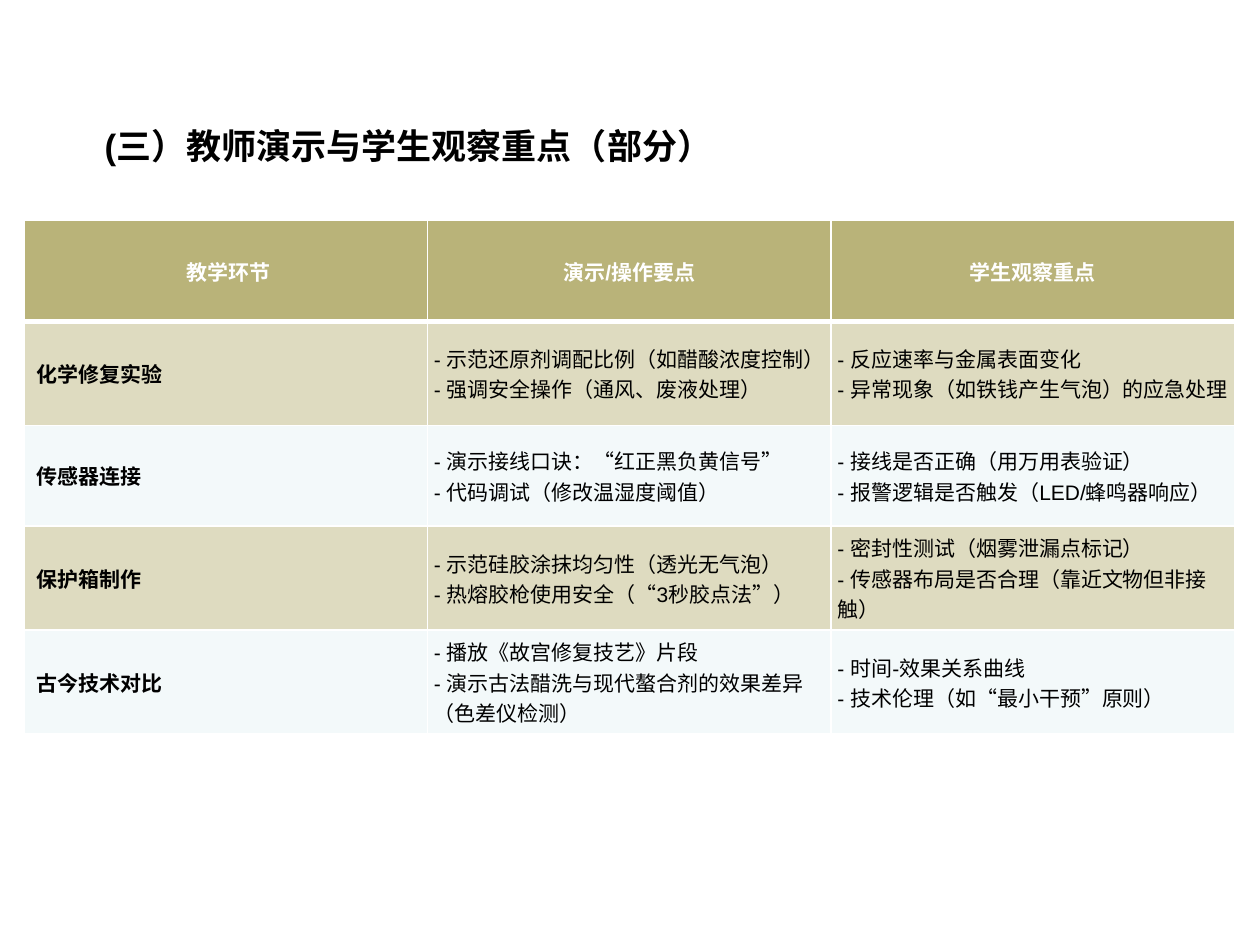
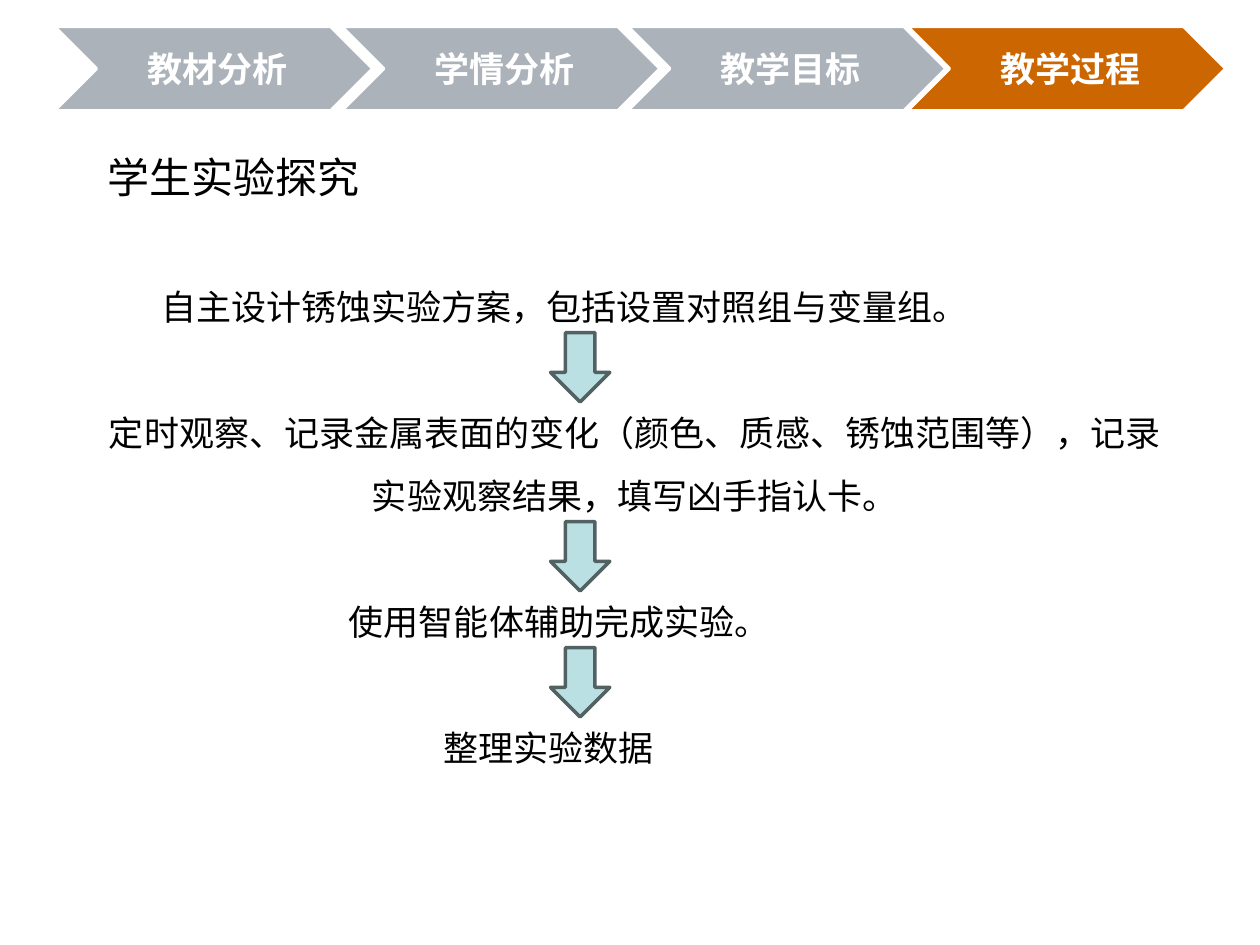
import pptx
import pptx.util
import pptx.dml.color
import pptx.enum.shapes
import pptx.enum.text
from pptx.oxml.ns import qn
from lxml import etree

Inches, Pt = pptx.util.Inches, pptx.util.Pt
ALIGN = pptx.enum.text.PP_ALIGN
ANCHOR = pptx.enum.text.MSO_ANCHOR
SHAPE = pptx.enum.shapes.MSO_SHAPE

COLORS = {
    "ink": "000000", "paper": "FFFFFF", "header": "B9B379",
    "odd_row": "DEDBC0", "even_row": "F3F9FA",
    "stage": "ABB2BA", "current_stage": "CC6600",
    "arrow": "BBE0E3", "arrow_edge": "526263",
}
LATIN, CHINESE = "Arial", "Noto Sans CJK SC"

DEMO_TITLE = "(三）教师演示与学生观察重点（部分）"
DEMO_HEADER = ["教学环节", "演示/操作要点", "学生观察重点"]
DEMO_ROWS = [
    ("化学修复实验",
     ["- 示范还原剂调配比例（如醋酸浓度控制）", "- 强调安全操作（通风、废液处理）"],
     ["- 反应速率与金属表面变化", "- 异常现象（如铁钱产生气泡）的应急处理"]),
    ("传感器连接",
     ["- 演示接线口诀：“红正黑负黄信号”", "- 代码调试（修改温湿度阈值）"],
     ["- 接线是否正确（用万用表验证）", "- 报警逻辑是否触发（LED/蜂鸣器响应）"]),
    ("保护箱制作",
     ["- 示范硅胶涂抹均匀性（透光无气泡）", "- 热熔胶枪使用安全（“3秒胶点法”）"],
     ["- 密封性测试（烟雾泄漏点标记）", "- 传感器布局是否合理（靠近文物但非接触）"]),
    ("古今技术对比",
     ["- 播放《故宫修复技艺》片段", "- 演示古法醋洗与现代螯合剂的效果差异（色差仪检测）"],
     ["- 时间-效果关系曲线", "- 技术伦理（如“最小干预”原则）"]),
]

STAGES = [("教材分析", 0.43), ("学情分析", 2.71), ("教学目标", 4.98), ("教学过程", 7.2)]
CURRENT_STAGE = "教学过程"
INQUIRY_TITLE = "学生实验探究"
INQUIRY_STEPS = [
    ("自主设计锈蚀实验方案，包括设置对照组与变量组。", 1, 0.43, ALIGN.LEFT),
    ("定时观察、记录金属表面的变化（颜色、质感、锈蚀范围等），记录实验观察结果，填写凶手指认卡。", 2, 0, ALIGN.CENTER),
    ("使用智能体辅助完成实验。", 1, 1.92, ALIGN.LEFT),
    ("整理实验数据", 1, 2.67, ALIGN.LEFT),
]
STEPS_TOP, STEP_LINE = 2.1, 0.5
ARROW_WIDTH, ARROW_HEIGHT, ARROW_GAP = 0.47, 0.55, 0.04


def rgb(name):
    return pptx.dml.color.RGBColor.from_string(COLORS[name])


def add_run(paragraph, words, size, color="ink", bold=False, latin=LATIN):
    run = paragraph.add_run()
    run.text = words
    run.font.size = Pt(size)
    run.font.bold = bold
    run.font.name = latin
    run.font.color.rgb = rgb(color)
    east_asian = etree.SubElement(run.font._element, qn("a:ea"))
    east_asian.set("typeface", CHINESE)


def set_margins(holder, left, top, right, bottom):
    holder.margin_left, holder.margin_top = Inches(left), Inches(top)
    holder.margin_right, holder.margin_bottom = Inches(right), Inches(bottom)


def add_titled_slide(deck, words, box, size, bold, latin, spacing):
    slide = deck.slides.add_slide(deck.slide_layouts[5])
    title = slide.shapes.title
    title.left, title.top, title.width, title.height = map(Inches, box)
    frame = title.text_frame
    frame.auto_size = pptx.enum.text.MSO_AUTO_SIZE.NONE
    frame.vertical_anchor = ANCHOR.TOP
    heading = frame.paragraphs[0]
    heading.alignment = ALIGN.LEFT
    heading.line_spacing = spacing
    add_run(heading, words, size, bold=bold, latin=latin)
    return slide


def add_filled_shape(slide, kind, box, fill, edge):
    shape = slide.shapes.add_shape(kind, *map(Inches, box))
    shape.shadow.inherit = False
    shape.fill.solid()
    shape.fill.fore_color.rgb = rgb(fill)
    shape.line.color.rgb = rgb(edge)
    shape.line.width = Pt(2)
    return shape


def set_borders(cell, bottom_width):
    properties = cell._tc.get_or_add_tcPr()
    for place, (side, width) in enumerate(
            [("lnL", 1), ("lnR", 1), ("lnT", 1), ("lnB", bottom_width)]):
        border = etree.Element(qn("a:" + side), w=str(Pt(width)))
        paint = etree.SubElement(border, qn("a:solidFill"))
        etree.SubElement(paint, qn("a:srgbClr"), val=COLORS["paper"])
        properties.insert(place, border)


def fill_cell(cell, lines, fill, color, bold, alignment, first_column, bottom_width):
    cell.fill.solid()
    cell.fill.fore_color.rgb = rgb(fill)
    cell.vertical_anchor = ANCHOR.MIDDLE
    set_margins(cell, 0.1 if first_column else 0.05, 0.05, 0.05, 0.05)
    set_borders(cell, bottom_width)
    for index, line in enumerate(lines):
        frame = cell.text_frame
        paragraph = frame.add_paragraph() if index else frame.paragraphs[0]
        paragraph.alignment = alignment
        add_run(paragraph, line, 12, color, bold)


def build_demonstration(deck):
    slide = add_titled_slide(deck, DEMO_TITLE, (0.73, 0.84, 9, 0.62), 20, True, LATIN, 1.3)
    table = slide.shapes.add_table(
        len(DEMO_ROWS) + 1, len(DEMO_HEADER),
        Inches(0.19), Inches(1.75), Inches(9.61), Inches(4)).table
    for column, heading in enumerate(DEMO_HEADER):
        fill_cell(table.cell(0, column), [heading], "header", "paper", True,
                  ALIGN.CENTER, column == 0, 3)
    for row, (phase, actions, observations) in enumerate(DEMO_ROWS, 1):
        fill = "odd_row" if row % 2 else "even_row"
        for column, lines in enumerate([[phase], actions, observations]):
            fill_cell(table.cell(row, column), lines, fill, "ink", column == 0,
                      ALIGN.LEFT, column == 0, 1)


def add_stage_band(slide):
    for stage, left in STAGES:
        fill = "current_stage" if stage == CURRENT_STAGE else "stage"
        chevron = add_filled_shape(slide, SHAPE.CHEVRON, (left, 0.21, 2.53, 0.67), fill, "paper")
        frame = chevron.text_frame
        frame.vertical_anchor = ANCHOR.MIDDLE
        set_margins(frame, 0.09, 0.03, 0.03, 0.03)
        frame.paragraphs[0].alignment = ALIGN.CENTER
        add_run(frame.paragraphs[0], stage, 20, "paper", True)


def build_inquiry(deck):
    slide = add_titled_slide(deck, INQUIRY_TITLE, (0.75, 1.15, 8.58, 0.5), 24, False, CHINESE, 1)
    add_stage_band(slide)
    steps = slide.shapes.add_textbox(
        Inches(0.75), Inches(STEPS_TOP - 0.05), Inches(8.58), Inches(4.1)).text_frame
    steps.word_wrap = True
    line_top = STEPS_TOP
    for index, (words, line_count, indent, alignment) in enumerate(INQUIRY_STEPS):
        paragraph = steps.add_paragraph() if index else steps.paragraphs[0]
        paragraph.alignment = alignment
        paragraph.line_spacing = 1.5
        paragraph._p.get_or_add_pPr().set("marL", str(Inches(indent)))
        if index:
            paragraph.space_before = Pt(STEP_LINE * 72)
            add_filled_shape(slide, SHAPE.DOWN_ARROW,
                             (4.37, line_top + ARROW_GAP, ARROW_WIDTH, ARROW_HEIGHT),
                             "arrow", "arrow_edge")
            line_top += STEP_LINE
        add_run(paragraph, words, 20, latin=CHINESE)
        line_top += line_count * STEP_LINE


def main():
    deck = pptx.Presentation()
    deck.slide_width, deck.slide_height = Inches(10), Inches(7.5)
    build_demonstration(deck)
    build_inquiry(deck)
    deck.save("out.pptx")


if __name__ == "__main__":
    main()
